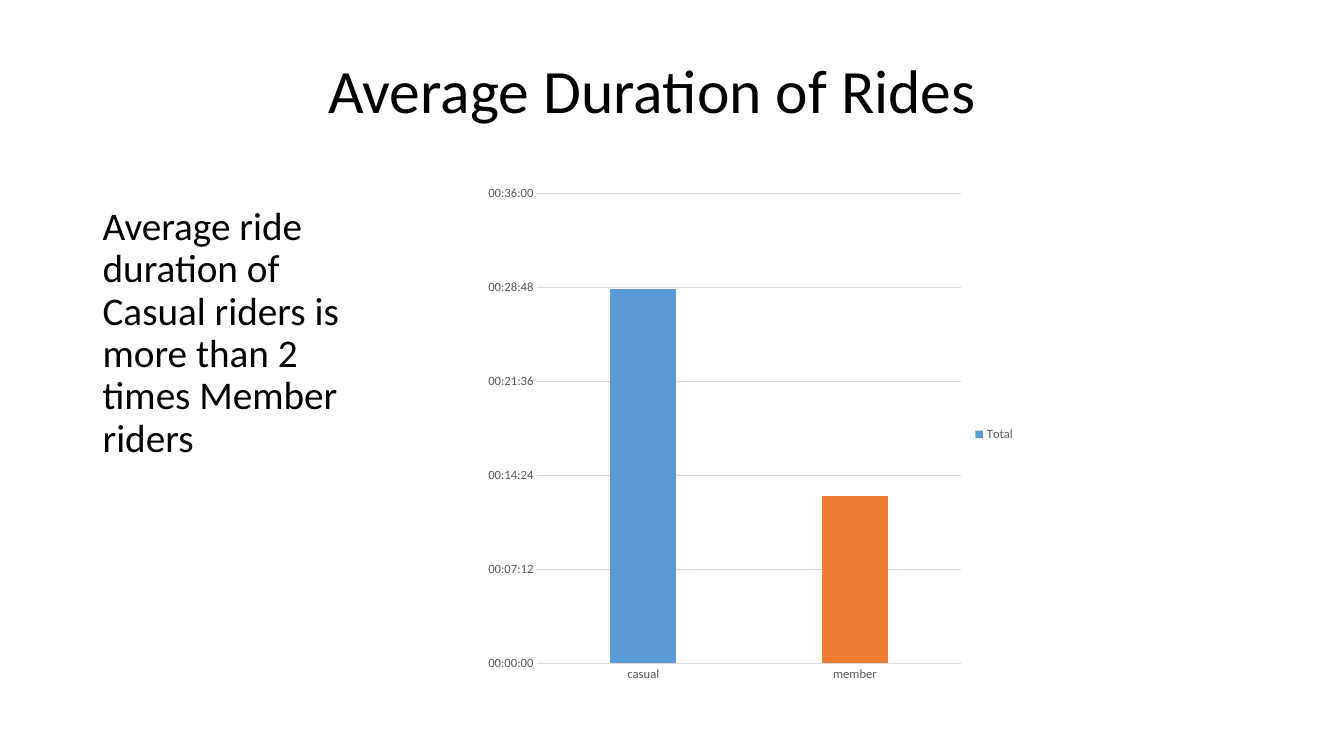
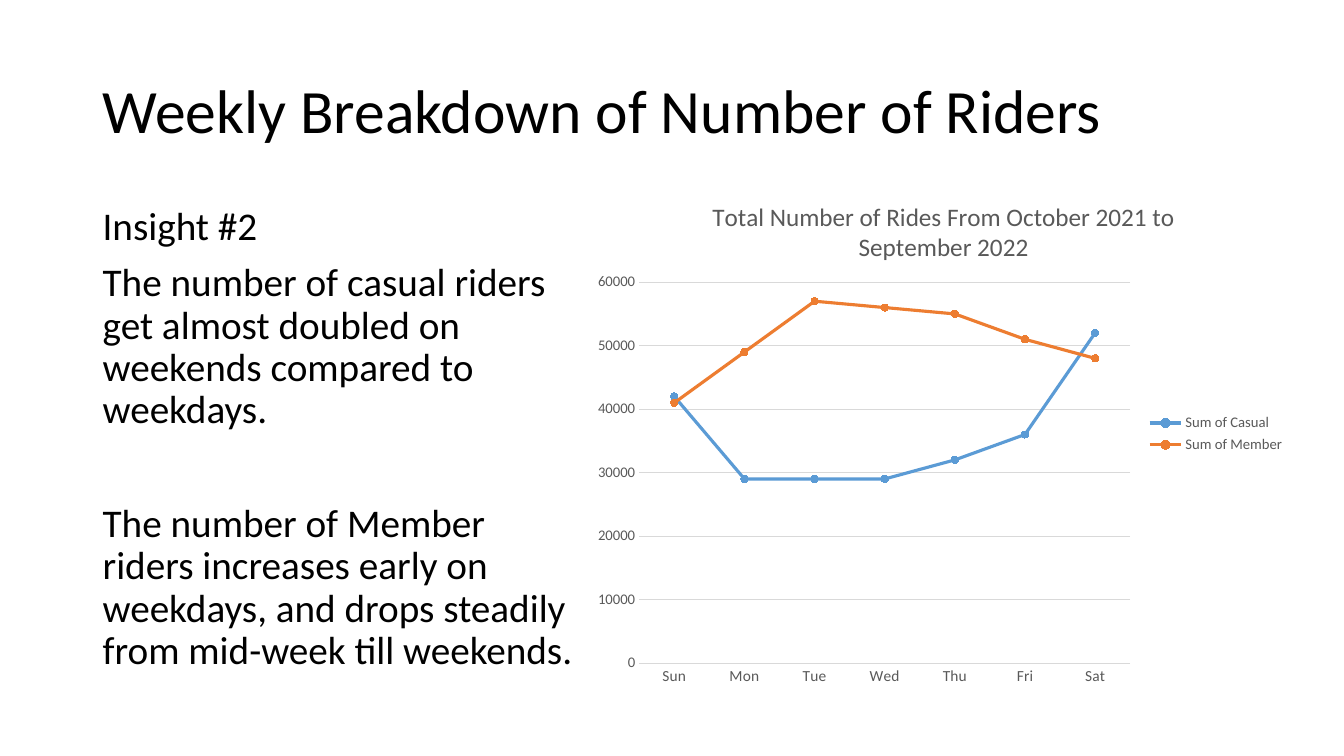
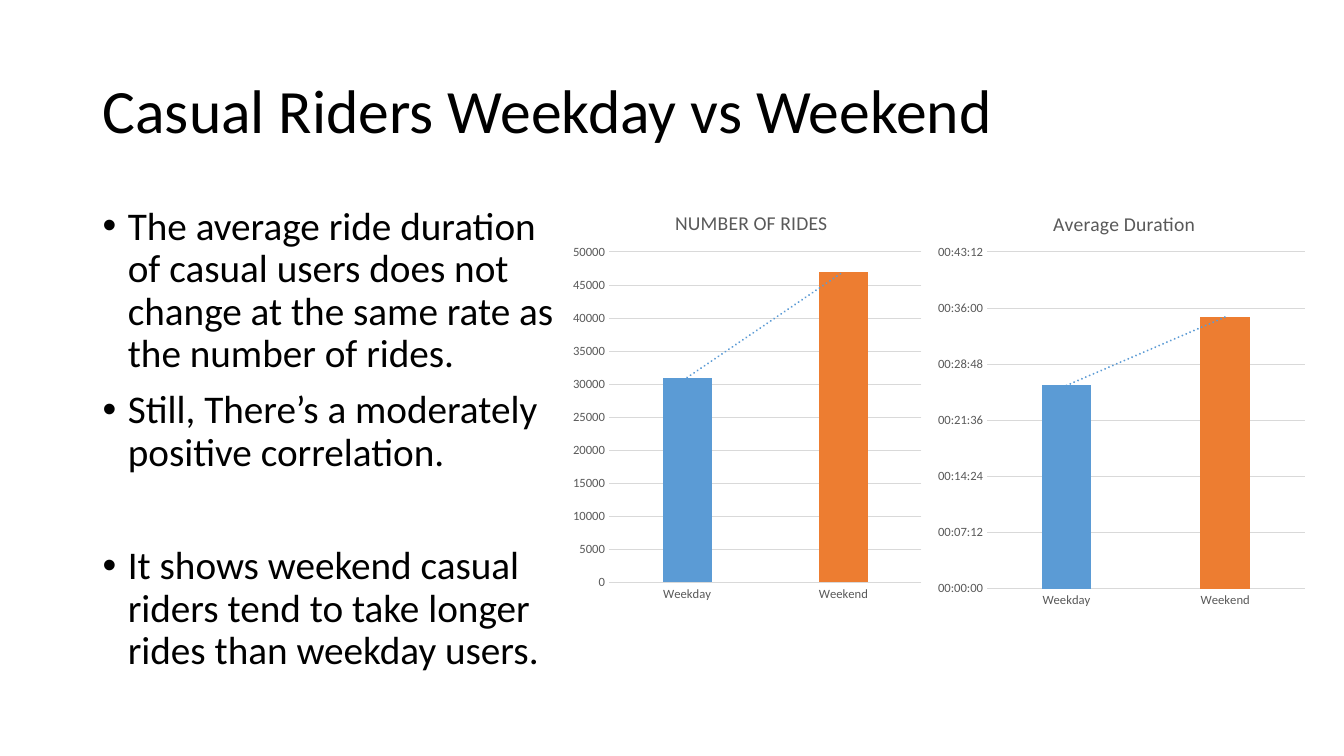
from lxml import etree
from pptx import Presentation
from pptx import util as u
from pptx.chart.data import CategoryChartData
from pptx.dml.color import RGBColor
from pptx.enum import chart as ch, dml, text
from pptx.oxml import parse_xml
from pptx.oxml.ns import nsdecls, qn

# Shared style
FONT = "Calibri"
BLACK, GREY, GRID, BLUE, ORANGE = "000000", "595959", "D9D9D9", "5B9BD5", "ED7D31"
TITLE_BOX = (0.92, 0.4, 11.5, 1.45)
TIME = {"number_format": "hh:mm:ss", "number_format_is_linked": False}


def rgb(value):
    return RGBColor.from_string(value)


def assign(obj, values):
    for name, value in values.items():
        setattr(obj, name, value)


def set_font(font, size, color):
    assign(font, {"name": FONT, "size": u.Pt(size), "bold": False})
    font.color.rgb = rgb(color)


def set_line(line, color, width):
    line.color.rgb = rgb(color)
    line.width = u.Pt(width)


# Text
def add_text(s, box, paras, size, anchor=text.MSO_ANCHOR.TOP,
             align=text.PP_ALIGN.LEFT, bullets=False):
    """Each paragraph is a pair of wording and space before in points."""
    tf = s.shapes.add_textbox(*map(u.Inches, box)).text_frame
    assign(tf, {"word_wrap": True, "vertical_anchor": anchor})
    for i, (wording, before) in enumerate(paras):
        p = tf.add_paragraph() if i else tf.paragraphs[0]
        if bullets:
            pPr = p._p.get_or_add_pPr()
            pPr.set("marL", str(u.Inches(0.25)))
            pPr.set("indent", str(-u.Inches(0.25)))
            etree.SubElement(pPr, qn("a:buFont")).set("typeface", "Arial")
            etree.SubElement(pPr, qn("a:buChar")).set("char", "•")
        assign(p, {"alignment": align, "line_spacing": 0.9,
                   "space_before": u.Pt(before)})
        r = p.add_run()
        r.text = wording
        set_font(r.font, size, BLACK)


def add_title(s, wording, box=TITLE_BOX, align=text.PP_ALIGN.LEFT):
    add_text(s, box, [(wording, 0)], 44, text.MSO_ANCHOR.MIDDLE, align)


def add_body(s, width, paras, bullets=False):
    add_text(s, (0.92, 2, width, 4.76), paras, 28, bullets=bullets)


# Charts
def make_layout(box, area, inner=False):
    """Place an area, given in slide inches, inside the chart box."""
    x, y, w, h = box
    fractions = [(area[0] - x) / w, (area[1] - y) / h]
    fractions += [n / total for n, total in zip(area[2:], (w, h))]
    names = "xywh"[:len(fractions)]
    target = '<c:layoutTarget val="inner"/>' if inner else ""
    modes = "".join(f'<c:{n}Mode val="edge"/>' for n in names[:2])
    sizes = "".join(f'<c:{n} val="{f:.4f}"/>' for n, f in zip(names, fractions))
    return parse_xml(f'<c:layout {nsdecls("c")}><c:manualLayout>{target}{modes}'
                     f'{sizes}</c:manualLayout></c:layout>')


def drop_layout(el):
    for old in el.findall(qn("c:layout")):
        el.remove(old)


def add_chart(s, kind, box, plot_box, cats, series, sizes=(9, 9),
              step=None, top=None, fmt=None, legend=False, title=None):
    data = CategoryChartData()
    data.categories = cats
    for name, vals in series:
        data.add_series(name, vals)
    chart = s.shapes.add_chart(kind, *map(u.Inches, box), data).chart
    set_font(chart.font, 10, BLACK)

    # Axes
    cat, val = chart.category_axis, chart.value_axis
    for axis, size in zip((cat, val), sizes):
        axis.major_tick_mark = axis.minor_tick_mark = ch.XL_TICK_MARK.NONE
        set_font(axis.tick_labels.font, size, GREY)
    set_line(cat.format.line, GRID, 0.75)
    val.format.line.fill.background()
    val.has_major_gridlines = True
    set_line(val.major_gridlines.format.line, GRID, 0.75)
    assign(val, {"minimum_scale": 0, "maximum_scale": top, "major_unit": step})
    assign(val.tick_labels, fmt or {})

    # Legend and title
    chart.has_legend = legend
    if legend:
        assign(chart.legend, {"position": ch.XL_LEGEND_POSITION.RIGHT,
                              "include_in_layout": False})
        set_font(chart.legend.font, sizes[1], GREY)
    chart.has_title = title is not None
    if title:
        wording, size, corner = title
        r = chart.chart_title.text_frame.paragraphs[0].add_run()
        r.text = wording
        set_font(r.font, size, GREY)
        el = chart.chart_title._element
        drop_layout(el)
        el.find(qn("c:tx")).addnext(make_layout(box, corner))

    plot_area = chart._chartSpace.chart.plotArea
    drop_layout(plot_area)
    plot_area.insert(0, make_layout(box, plot_box, inner=True))
    return chart


def add_trend(ser):
    trend = parse_xml(
        f'<c:trendline {nsdecls("c", "a")}><c:spPr><a:ln w="{u.Pt(1.5)}" cap="rnd">'
        f'<a:solidFill><a:srgbClr val="{BLUE}"/></a:solidFill>'
        '<a:prstDash val="sysDot"/></a:ln></c:spPr><c:trendlineType val="linear"/>'
        '<c:dispRSqr val="0"/><c:dispEq val="0"/></c:trendline>')
    ser._element.find(qn("c:cat")).addprevious(trend)


def add_columns(s, box, plot_box, cats, name, vals, trend=False, **options):
    chart = add_chart(s, ch.XL_CHART_TYPE.COLUMN_CLUSTERED, box, plot_box, cats,
                      [(name, vals)], **options)
    plot = chart.plots[0]
    assign(plot, {"gap_width": 219, "overlap": -27, "vary_by_categories": False})
    ser = plot.series[0]
    for part, color in ((ser, BLUE), (ser.points[1], ORANGE)):
        part.format.fill.solid()
        part.format.fill.fore_color.rgb = rgb(color)
    if trend:
        add_trend(ser)


def add_lines(s, box, plot_box, cats, series, **options):
    chart = add_chart(s, ch.XL_CHART_TYPE.LINE_MARKERS, box, plot_box, cats,
                      series, **options)
    chart.plots[0].vary_by_categories = False
    for ser, color in zip(chart.plots[0].series, (BLUE, ORANGE)):
        ser.smooth = False
        set_line(ser.format.line, color, 2.25)
        assign(ser.marker, {"style": ch.XL_MARKER_STYLE.CIRCLE, "size": 5})
        ser.marker.format.fill.solid()
        ser.marker.format.fill.fore_color.rgb = rgb(color)
        set_line(ser.marker.format.line, color, 0.75)
        ser.marker.format.line.dash_style = dml.MSO_LINE.SOLID


# Slides
def duration_slide(s):
    add_title(s, "Average Duration of Rides", (0.72, 0.2, 11.5, 1.45),
              text.PP_ALIGN.CENTER)
    add_body(s, 3.04, [("Average ride duration of Casual riders is more than "
                        "2 times Member riders", 0)])
    add_columns(s, (4.73, 1.75, 5.44, 5.12), (5.33, 1.92, 4.2, 4.66),
                ["casual", "member"], "Total", [0.0199, 0.0089],
                step=0.005, top=0.025, fmt=TIME, legend=True)


def weekly_slide(s):
    add_title(s, "Weekly Breakdown of Number of Riders")
    add_body(s, 4.96, [
        ("Insight #2", 0),
        ("The number of casual riders get almost doubled on weekends "
         "compared to weekdays.", 10),
        ("The number of Member riders increases early on weekdays, and drops "
         "steadily from mid-week till weekends.", 51)])
    add_lines(s, (5.79, 1.7, 7.06, 5.21), (6.34, 2.8, 4.87, 3.78),
              ["Sun", "Mon", "Tue", "Wed", "Thu", "Fri", "Sat"],
              [("Sum of Casual", [42000, 29000, 29000, 29000, 32000, 36000, 52000]),
               ("Sum of Member", [41000, 49000, 57000, 56000, 55000, 51000, 48000])],
              sizes=(11, 10.5), step=10000, top=60000, legend=True,
              title=("Total Number of Rides From October 2021 to September 2022",
                     18, (7.02, 1.93)))


def casual_slide(s):
    add_title(s, "Casual Riders Weekday vs Weekend")
    add_body(s, 4.7, [
        ("The average ride duration of casual users does not change at the "
         "same rate as the number of rides.", 0),
        ("Still, There’s a moderately positive correlation.", 10),
        ("It shows weekend casual riders tend to take longer rides than "
         "weekday users.", 51)], bullets=True)
    cats = ["Weekday", "Weekend"]
    add_columns(s, (5.62, 1.85, 3.59, 4.21), (6.04, 2.5, 3.1, 3.28), cats,
                "Series 1", [31000, 47000], trend=True, step=5000, top=50000,
                title=("NUMBER OF RIDES", 14, (6.66, 2.04)))
    add_columns(s, (9.23, 1.85, 3.78, 4.27), (9.79, 2.5, 3.15, 3.34), cats,
                "Series 1", [0.0181, 0.0242], trend=True, step=0.005, top=0.03,
                fmt=TIME, title=("Average Duration", 14, (10.41, 2.05)))


def main():
    prs = Presentation()
    assign(prs, {"slide_width": u.Inches(13.33), "slide_height": u.Inches(7.5)})
    for build in (duration_slide, weekly_slide, casual_slide):
        build(prs.slides.add_slide(prs.slide_layouts[6]))
    prs.save("out.pptx")


if __name__ == "__main__":
    main()
